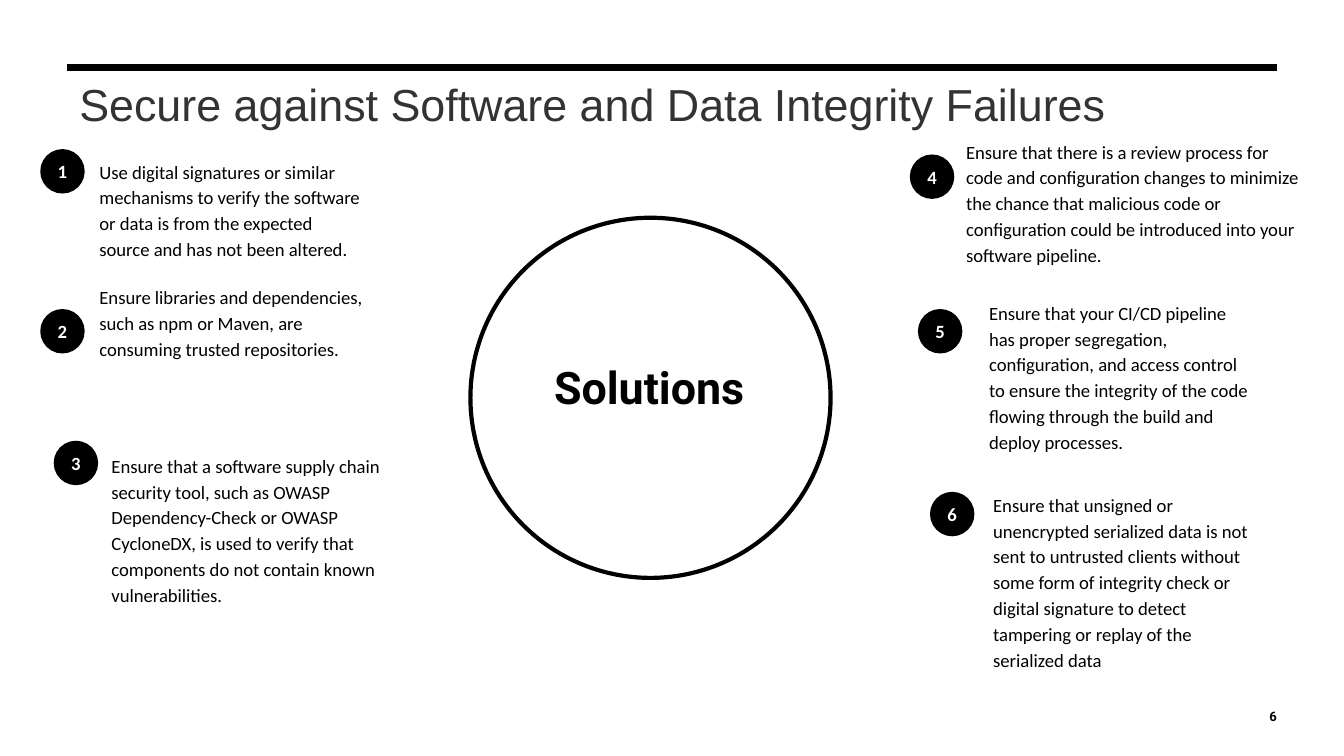
from dataclasses import dataclass

from lxml.etree import SubElement
from pptx import Presentation
from pptx.dml.color import RGBColor
from pptx.enum.shapes import MSO_CONNECTOR as Link, MSO_SHAPE as Shape
from pptx.enum.text import MSO_ANCHOR as Anchor, MSO_AUTO_SIZE as Fit, PP_ALIGN as Align
from pptx.oxml.ns import qn
from pptx.util import Inches, Pt

BLACK = RGBColor(0, 0, 0)
WHITE = RGBColor(255, 255, 255)
GRAY = RGBColor(0x33, 0x33, 0x33)
DOT = 0.31


@dataclass
class Note:
    left: float
    top: float
    width: float
    height: float
    texts: list[str]
    pad: tuple[float, float] = (0, 0.05)


@dataclass
class Badge:
    num: int
    left: float
    top: float


NOTES = [
    Note(0.74, 1.12, 1.96, 2.83, [
        "Use digital signatures or similar mechanisms to verify the software "
        "or data is from the expected source and has not been altered.",
        "Ensure libraries and dependencies, such as npm or Maven, are "
        "consuming trusted repositories."]),
    Note(0.83, 3.31, 2.14, 1.62, [
        "Ensure that a software supply chain security tool, such as OWASP "
        "Dependency-Check or OWASP CycloneDX, is used to verify that "
        "components do not contain known vulnerabilities."]),
    Note(7.09, 0.92, 2.68, 1.14, [
        "Ensure that there is a review process for code and configuration "
        "changes to minimize the chance that malicious code or configuration "
        "could be introduced into your software pipeline."], (0.1, 0.1)),
    Note(7.36, 2.17, 1.96, 1.78, [
        "Ensure that your CI/CD pipeline has proper segregation, "
        "configuration, and access control to ensure the integrity of the "
        "code flowing through the build and deploy processes."]),
    Note(7.39, 3.6, 1.96, 1.78, [
        "Ensure that unsigned or unencrypted serialized data is not sent to "
        "untrusted clients without some form of integrity check or digital "
        "signature to detect tampering or replay of the serialized data"]),
]

BADGES = [
    Badge(1, 0.31, 1.12), Badge(2, 0.31, 2.31), Badge(3, 0.41, 3.29),
    Badge(4, 6.78, 1.16), Badge(5, 6.84, 2.31), Badge(6, 6.93, 3.67),
]


def set_frame(frame, pad: tuple[float, float], anchor=Anchor.TOP) -> None:
    frame.word_wrap = True
    frame.auto_size = Fit.NONE
    frame.vertical_anchor = anchor
    frame.margin_left = frame.margin_right = Inches(pad[0])
    frame.margin_top = frame.margin_bottom = Inches(pad[1])


def set_text(para, text: str, name: str, size: float, color: RGBColor = BLACK,
             bold: bool = False, align=Align.LEFT) -> None:
    para.text = text
    para.alignment = align
    font = para.font
    font.name, font.size, font.bold = name, Pt(size), bold
    font.color.rgb = color


def add_box(slide, left: float, top: float, width: float, height: float,
            pad: tuple[float, float], anchor=Anchor.TOP):
    box = slide.shapes.add_textbox(
        Inches(left), Inches(top), Inches(width), Inches(height))
    set_frame(box.text_frame, pad, anchor)
    return box.text_frame


def add_note(slide, note: Note) -> None:
    frame = add_box(slide, note.left, note.top, note.width, note.height, note.pad)
    for i, text in enumerate(note.texts):
        para = frame.add_paragraph() if i else frame.paragraphs[0]
        set_text(para, text, "Calibri", 10)
        para.line_spacing = 1.15
        if i:
            para.space_before = Pt(12)


def add_disc(slide, left: float, top: float, size: float, weight: float):
    disc = slide.shapes.add_shape(
        Shape.OVAL, Inches(left), Inches(top), Inches(size), Inches(size))
    disc.shadow.inherit = False
    disc.line.color.rgb = BLACK
    disc.line.width = Pt(weight)
    return disc


def add_badge(slide, badge: Badge) -> None:
    disc = add_disc(slide, badge.left, badge.top, DOT, 1.5)
    disc.fill.solid()
    disc.fill.fore_color.rgb = BLACK
    set_frame(disc.text_frame, (0, 0), Anchor.MIDDLE)
    set_text(disc.text_frame.paragraphs[0], str(badge.num), "Calibri", 10,
             WHITE, True, Align.CENTER)


def main() -> None:
    # Widescreen deck, 16:9
    deck = Presentation()
    deck.slide_width, deck.slide_height = Inches(10), Inches(10 * 9 / 16)
    slide = deck.slides.add_slide(deck.slide_layouts[5])

    # Top rule
    rule = slide.shapes.add_connector(
        Link.STRAIGHT, Inches(0.5), Inches(0.5), Inches(9.5), Inches(0.5))
    rule.line.color.rgb = BLACK
    rule.line.width = Pt(3.75)
    SubElement(rule._element.spPr, qn("a:effectLst"))

    # Title
    title = slide.shapes.title
    title.left, title.top = Inches(0.5), Inches(0.65)
    title.width, title.height = Inches(7.75), Inches(0.62)
    set_frame(title.text_frame, (0, 0))
    title.text_frame.margin_left = Inches(0.09)
    head = title.text_frame.paragraphs[0]
    set_text(head, "Secure against Software and Data Integrity Failures",
             "Arial", 24, GRAY)
    head.line_spacing = 0.8

    # Central ring
    add_disc(slide, 3.5, 1.62, 2.68, 2.25).fill.background()
    hub = add_box(slide, 3.74, 2.63, 2.18, 0.5, (0.1, 0.05))
    set_text(hub.paragraphs[0], "Solutions", "Roboto", 24, bold=True,
             align=Align.CENTER)

    # Numbered advice
    for note in NOTES:
        add_note(slide, note)
    for badge in BADGES:
        add_badge(slide, badge)

    # Page number
    page = add_box(slide, 9.25, 5.14, 0.25, 0.25, (0, 0), Anchor.BOTTOM)
    set_text(page.paragraphs[0], "6", "Roboto", 7, bold=True, align=Align.RIGHT)

    deck.save("out.pptx")


if __name__ == "__main__":
    main()
